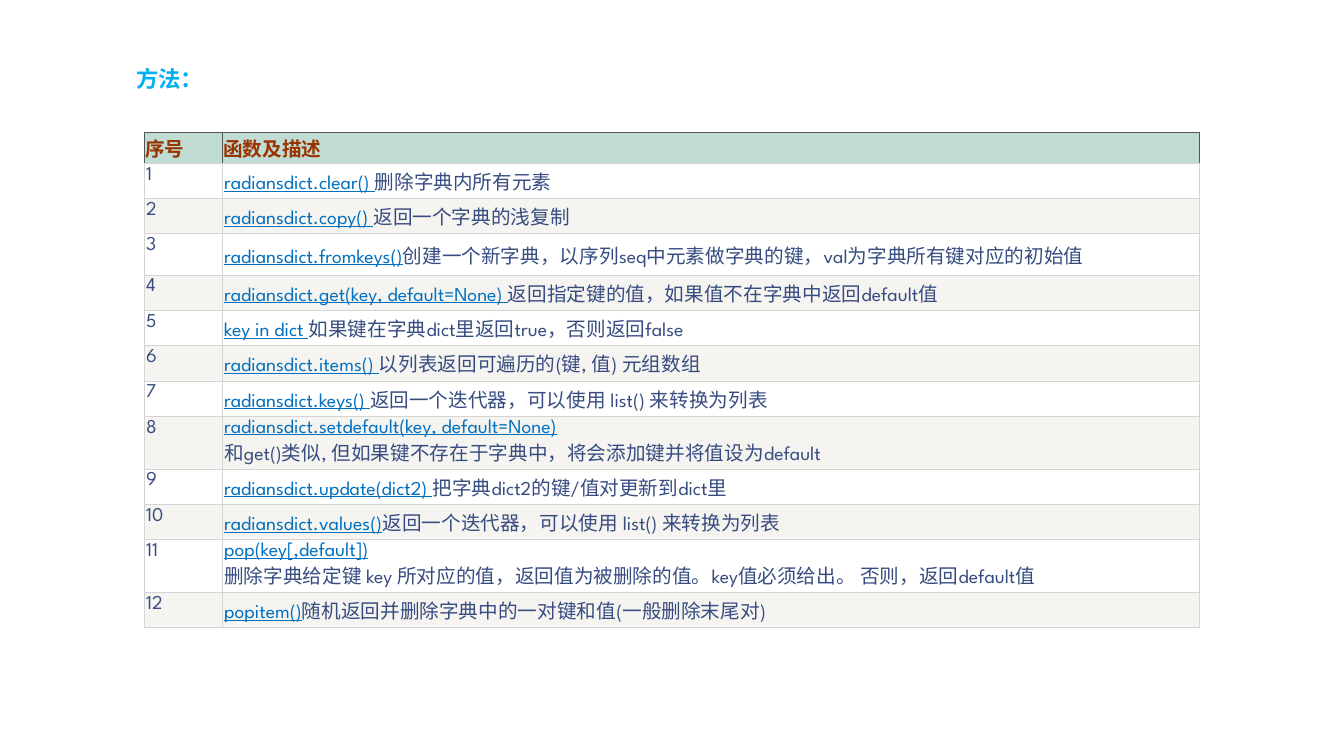
from dataclasses import dataclass

from lxml.etree import SubElement
from pptx import Presentation
from pptx.dml.color import RGBColor
from pptx.enum.text import MSO_ANCHOR, MSO_AUTO_SIZE, PP_ALIGN
from pptx.oxml.ns import qn
from pptx.util import Inches, Pt


@dataclass(frozen=True)
class Theme:
    """Colours, fonts and type sizes of the slide."""
    latin_font: str = "League Spartan"
    asian_font: str = "Noto Sans CJK SC"
    title_size: float = 16
    table_size: float = 14
    border_width: float = 0.75
    title: str = "00B0F0"
    header_text: str = "993300"
    header_fill: str = "C0DCD5"
    header_border: str = "555555"
    text: str = "374C81"
    link: str = "0070C0"
    border: str = "D4D4D4"
    bands: tuple = ("FFFFFF", "F6F4F0")


THEME = Theme()
SLIDE_WIDTH, SLIDE_HEIGHT = 13.33, 7.5
TITLE_BOX = (1.22, 0.6, 11.11, 0.6)
TABLE_BOX = (1.43, 1.31, 10.47, 4.87)
NUMBER_SHARE = 0.074
HEADER_HEIGHT, SINGLE_HEIGHT, TALL_HEIGHT, DOUBLE_HEIGHT = 0.31, 0.35, 0.41, 0.5
HEADINGS = ("序号", "函数及描述")
METHODS = [
    (SINGLE_HEIGHT, [["radiansdict.clear() ", "删除字典内所有元素"]]),
    (SINGLE_HEIGHT, [["radiansdict.copy() ", "返回一个字典的浅复制"]]),
    (TALL_HEIGHT, [["radiansdict.fromkeys()",
                    "创建一个新字典，以序列seq中元素做字典的键，val为字典所有键对应的初始值"]]),
    (SINGLE_HEIGHT, [["radiansdict.get(key, default=None) ",
                      "返回指定键的值，如果值不在字典中返回default值"]]),
    (SINGLE_HEIGHT, [["key in dict ", "如果键在字典dict里返回true，否则返回false"]]),
    (SINGLE_HEIGHT, [["radiansdict.items() ", "以列表返回可遍历的(键, 值) 元组数组"]]),
    (SINGLE_HEIGHT, [["radiansdict.keys() ", "返回一个迭代器，可以使用 list() 来转换为列表"]]),
    (DOUBLE_HEIGHT, [["radiansdict.setdefault(key, default=None)"],
                     ["", "和get()类似, 但如果键不存在于字典中，将会添加键并将值设为default"]]),
    (SINGLE_HEIGHT, [["radiansdict.update(dict2) ", "把字典dict2的键/值对更新到dict里"]]),
    (SINGLE_HEIGHT, [["radiansdict.values()", "返回一个迭代器，可以使用 list() 来转换为列表"]]),
    (DOUBLE_HEIGHT, [["pop(key[,default])"],
                     ["", "删除字典给定键 key 所对应的值，返回值为被删除的值。"
                          "key值必须给出。 否则，返回default值"]]),
    (SINGLE_HEIGHT, [["popitem()", "随机返回并删除字典中的一对键和值(一般删除末尾对)"]]),
]


def add_run(paragraph, text, size, color, bold=False, underline=False, latin=THEME.latin_font):
    """Add one formatted run with its Latin and East Asian fonts."""
    run = paragraph.add_run()
    run.text = text
    font = run.font
    font.size, font.bold, font.underline = Pt(size), bold, underline
    font.color.rgb = RGBColor.from_string(color)
    font.name = latin
    SubElement(run._r.get_or_add_rPr(), qn("a:ea"), typeface=THEME.asian_font)


def style_cell(cell, fill, side_color, bottom_color, inset, anchor):
    """Set the borders, fill, margins and anchor of a cell."""
    properties = cell._tc.get_or_add_tcPr()
    for side in ("lnL", "lnR", "lnT", "lnB"):
        line = SubElement(properties, qn(f"a:{side}"), w=str(Pt(THEME.border_width)))
        solid = SubElement(line, qn("a:solidFill"))
        color = bottom_color if side == "lnB" else side_color
        SubElement(solid, qn("a:srgbClr"), val=color)
    cell.fill.solid()
    cell.fill.fore_color.rgb = RGBColor.from_string(fill)
    horizontal, vertical = inset
    cell.margin_left = cell.margin_right = Inches(horizontal)
    cell.margin_top = cell.margin_bottom = Inches(vertical)
    cell.vertical_anchor = anchor


def add_title(slide, box, text):
    """Place the heading in the title placeholder."""
    title = slide.shapes.title
    title.left, title.top, title.width, title.height = map(Inches, box)
    frame = title.text_frame
    frame.word_wrap, frame.auto_size = True, MSO_AUTO_SIZE.NONE
    frame.vertical_anchor = MSO_ANCHOR.TOP
    frame.margin_left = frame.margin_right = Inches(0.13)
    frame.margin_top = frame.margin_bottom = Inches(0.07)
    paragraph = frame.paragraphs[0]
    paragraph.alignment, paragraph.line_spacing = PP_ALIGN.LEFT, 0.95
    add_run(paragraph, text, THEME.title_size, THEME.title, bold=True, latin=THEME.asian_font)


def fill_header(table):
    """Write the heading row."""
    for cell, heading in zip(table.rows[0].cells, HEADINGS):
        style_cell(cell, THEME.header_fill, THEME.header_border, THEME.border,
                   (0.01, 0.01), MSO_ANCHOR.MIDDLE)
        add_run(cell.text_frame.paragraphs[0], heading, THEME.table_size,
                THEME.header_text, bold=True)


def fill_method(table, number, lines):
    """Write one numbered method with its underlined signature."""
    number_cell, method_cell = table.rows[number].cells
    band = THEME.bands[(number - 1) % 2]
    for cell, anchor in ((number_cell, MSO_ANCHOR.TOP), (method_cell, MSO_ANCHOR.MIDDLE)):
        style_cell(cell, band, THEME.border, THEME.border, (0.02, 0.03), anchor)
    add_run(number_cell.text_frame.paragraphs[0], str(number), THEME.table_size, THEME.text)
    frame = method_cell.text_frame
    for index, (signature, *descriptions) in enumerate(lines):
        paragraph = frame.add_paragraph() if index else frame.paragraphs[0]
        if signature:
            add_run(paragraph, signature, THEME.table_size, THEME.link, underline=True)
        for description in descriptions:
            add_run(paragraph, description, THEME.table_size, THEME.text)


def add_method_table(slide, box):
    """Place the table of dictionary methods in the box."""
    frame = slide.shapes.add_table(len(METHODS) + 1, len(HEADINGS), *map(Inches, box))
    table = frame.table
    table.first_row = table.horz_banding = False
    for column, share in zip(table.columns, (NUMBER_SHARE, 1 - NUMBER_SHARE)):
        column.width = Inches(box[2] * share)
    table.rows[0].height = Inches(HEADER_HEIGHT)
    fill_header(table)
    for number, (height, lines) in enumerate(METHODS, start=1):
        table.rows[number].height = Inches(height)
        fill_method(table, number, lines)


def main():
    """Build and save the slide."""
    presentation = Presentation()
    presentation.slide_width = Inches(SLIDE_WIDTH)
    presentation.slide_height = Inches(SLIDE_HEIGHT)
    slide = presentation.slides.add_slide(presentation.slide_layouts[5])
    add_title(slide, TITLE_BOX, "方法：")
    add_method_table(slide, TABLE_BOX)
    presentation.save("out.pptx")


if __name__ == "__main__":
    main()
